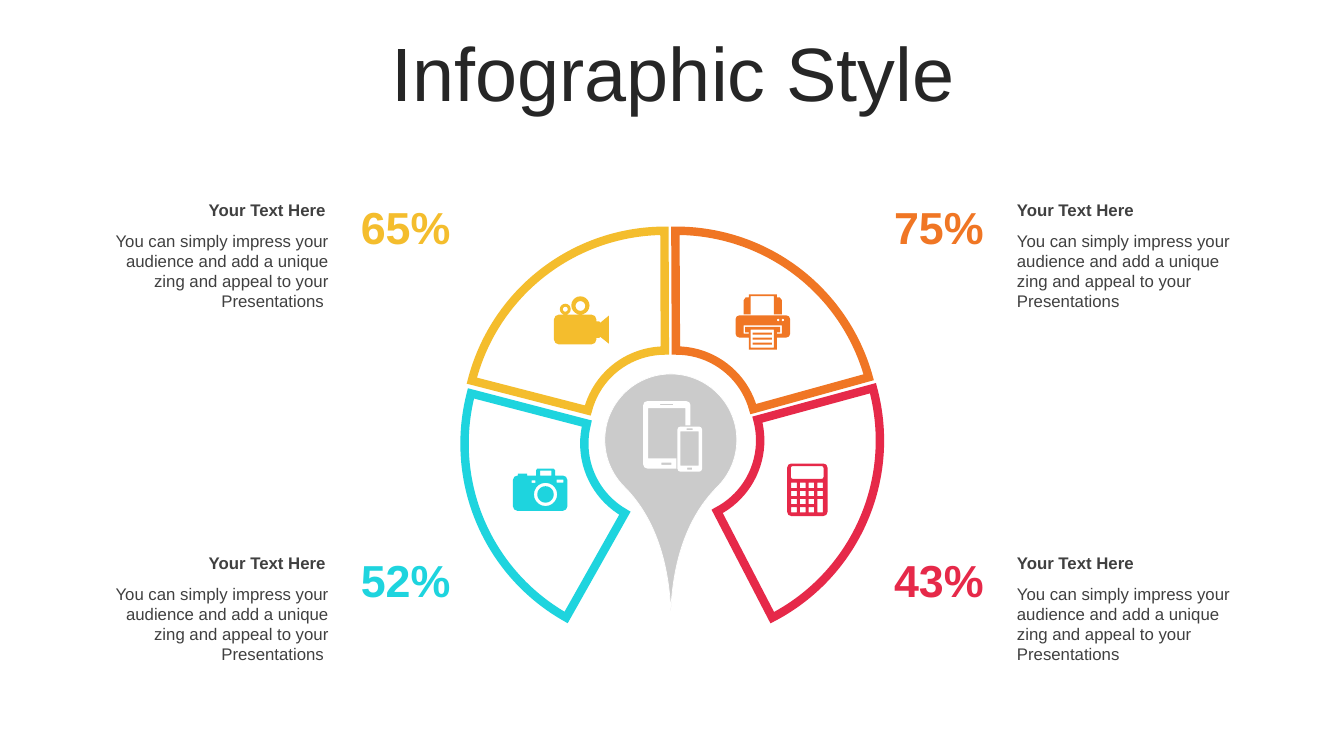
from math import cos, pi, sin

from lxml.etree import SubElement
from pptx import Presentation
from pptx.dml.color import RGBColor
from pptx.enum.shapes import MSO_SHAPE as Preset
from pptx.enum.text import MSO_ANCHOR as Anchor, MSO_AUTO_SIZE as AutoSize, PP_ALIGN as Align
from pptx.oxml import parse_xml
from pptx.oxml.ns import nsdecls, qn
from pptx.util import Pt

COLORS = {
    "yellow": "F4BD2D", "orange": "F07624", "red": "E62949", "cyan": "1ED4DE",
    "pin": "CBCBCB", "white": "FFFFFF", "title": "262626", "text": "404040",
}
BODY = "You can simply impress your audience and add a unique zing and appeal to your Presentations"
FORMATS = {
    "title": {"size": Pt(54), "bold": False},
    "heading": {"size": Pt(12), "bold": True},
    "body": {"size": Pt(12), "bold": False},
    "percent": {"size": Pt(32), "bold": True},
}
STEPS = 3  # points in each rounded corner


def rgb(color):
    return RGBColor.from_string(COLORS[color])


def write(frame, text, style, color, align):
    paragraph = frame.paragraphs[0]
    paragraph.alignment = align
    run = paragraph.add_run()
    run.text = text
    run.font.name = "Arial"
    run.font.color.rgb = rgb(color)
    for attribute, value in FORMATS[style].items():
        setattr(run.font, attribute, value)
    return run


def add_text(shapes, box, *content):
    label = shapes.add_textbox(*map(Pt, box))
    label.text_frame.word_wrap = True
    label.text_frame.auto_size = AutoSize.SHAPE_TO_FIT_TEXT
    return write(label.text_frame, *content)


def add_preset(shapes, preset, box, rotation, adjustments, fill, line, width):
    part = shapes.add_shape(preset, *map(Pt, box))
    part.shadow.inherit = False
    part.rotation = rotation
    for index, value in enumerate(adjustments):
        part.adjustments[index] = value
    part.fill.solid()
    part.fill.fore_color.rgb = rgb(fill)
    part.line.color.rgb = rgb(line)
    part.line.width = Pt(width)
    SubElement(part.line.fill._xPr, qn("a:miter"), lim="800000")


# Outlines for icons: lists of (x, y) in points

def rect(x, y, w, h):
    return [(x, y), (x + w, y), (x + w, y + h), (x, y + h)]


def circle(x, y, r, count=20):
    return [(x + r * cos(2 * pi * k / count), y + r * sin(2 * pi * k / count)) for k in range(count)]


def rounded(x, y, w, h, r, top=(), right=(), bottom=()):
    """Clockwise rounded box from its top left; extra points may extend three edges."""
    points = []
    centers = rect(x + r, y + r, w - 2 * r, h - 2 * r)
    for quarter, ((cx, cy), extra) in enumerate(zip(centers, (top, right, bottom, ()))):
        for step in range(STEPS):
            angle = pi + pi / 2 * (quarter + step / (STEPS - 1))
            points.append((cx + r * cos(angle), cy + r * sin(angle)))
        points.extend(extra)
    return points


def add_icon(shapes, left, top, color, outlines):
    """Draw outlines as one shape, where an inner outline makes a hole."""
    placed = [[(Pt(left + x), Pt(top + y)) for x, y in outline] for outline in outlines]
    builder = shapes.build_freeform(*placed[0][0], scale=1.0)
    for index, outline in enumerate(placed):
        if index:
            builder.move_to(*outline[0])
        builder.add_line_segments(outline[1:], close=True)
    icon = builder.convert_to_shape()
    icon.shadow.inherit = False
    icon.fill.solid()
    icon.fill.fore_color.rgb = rgb(color)
    icon.line.fill.background()


def devices():
    tablet = rounded(0, 0, 33.8, 48.2, 3)
    notch = [(33.8, 17.3), (30.2, 17.3), (30.2, 5), (3.6, 5), (3.6, 41), (23.8, 41), (23.8, 48.2)]
    return [
        tablet[:2 * STEPS] + notch + tablet[3 * STEPS:],
        rect(12.2, 2, 9.2, 0.9), rect(13, 43.9, 7.2, 1.6),
        rounded(24.5, 18.2, 17.6, 32.3, 2.2), rect(26.6, 21.6, 13, 24.5),
        rect(31, 19.6, 4.3, 1.1), rect(31.4, 47.5, 3.6, 1.4),
    ]


def calculator():
    keys = [
        rect(2.9 + 6.2 * column, 13.7 + 5.8 * row, 4, 9.6 if (column, row) == (3, 2) else 3.8)
        for row in range(4) for column in range(4) if (column, row) != (3, 3)
    ]
    return [rounded(0, 0, 28.8, 37.5, 2.9), rounded(2.6, 1.8, 23.4, 9.2, 1.4), *keys]


def printer():
    tray = [(29.5, 30.9), (29.5, 39.6), (9.4, 39.6), (9.4, 30.9)]
    slot = [(5.8, 22.3), (5.8, 28.1), (9.4, 28.1), (9.4, 27.2), (6.8, 27.2), (6.8, 23.3),
            (31.8, 23.3), (31.8, 27.2), (29.5, 27.2), (29.5, 28.1), (33.1, 28.1), (33.1, 22.3)]
    feed = [(9.4, 0), (29.5, 0), (29.5, 2.2), (31.5, 2.2), (33.1, 4.3), (33.1, 14.4), (27.4, 14.4),
            (27.4, 1.4), (10.8, 1.4), (10.8, 14.4), (5.8, 14.4), (5.8, 4.3), (7.2, 2.2), (9.4, 2.2)]
    return [
        rounded(0, 15.1, 38.9, 15.8, 2.6, bottom=tray), slot, feed,
        rect(10.8, 25.2, 16.6, 13), *[rect(12.2, 27.4 + 3.6 * k, 13.7, 1.4) for k in range(3)],
        *[circle(x, 18.4, 0.95, 8) for x in (30.4, 33.8)],
    ]


def camera():
    finder = [(3.6, 5), (3.6, 3.6), (10.1, 3.6), (10.1, 5), (16.6, 5),
              (16.6, 1.2), (17.4, 0), (29, 0), (30.2, 1.2), (30.2, 5)]
    return [
        rounded(0, 5, 38.9, 25.2, 3.2, top=finder), rect(19.4, 1.4, 8, 3.6),
        rect(13.3, 8.4, 2.8, 1.8), rect(31.2, 7.9, 4.8, 2.2),
        circle(23.3, 18.5, 8.3), circle(23.3, 18.5, 5.9),
    ]


def film_camera():
    lens = [(30.3, 18), (32.4, 18), (33.1, 18.9), (39.2, 13.8),
            (39.2, 33.8), (33.1, 28.9), (32.4, 29.6), (30.3, 29.6)]
    return [
        rounded(0, 13.1, 30.3, 21.2, 3.4, right=lens),
        circle(18.9, 6.5, 6.5), circle(18.9, 6.9, 3.5, 16),
        circle(8.1, 9.2, 3.9, 16), circle(8.1, 9.2, 1.8, 12),
    ]


def add_title(slide, box):
    title = slide.shapes.title
    title.left, title.top, title.width, title.height = map(Pt, box)
    title.text_frame.vertical_anchor = Anchor.MIDDLE
    title.text_frame.paragraphs[0].line_spacing = 0.9
    write(title.text_frame, "Infographic Style", "title", "title", Align.CENTER)


def add_ring(shapes, left, top):
    arcs = [(0.7, 0, 0, 116.65, 161.88, "yellow"), (8.6, 0, 75, 116.85, 161.74, "orange"),
            (11.5, 7.2, 153, 115.08, 161.74, "red"), (0, 9.4, 285, 116.65, 161.74, "cyan")]
    ring = shapes.add_group_shape().shapes
    for dx, dy, rotation, start, end, color in arcs:
        add_preset(ring, Preset.BLOCK_ARC, (left + dx, top + dy, 285.1, 285.1), rotation,
                   (start, end, 0.3), "white", color, 6)


def add_pin(shapes, left, top):
    add_preset(shapes, Preset.TEAR, (left, top, 94.3, 94.3), 135, (1.83,), "pin", "white", 0.5)
    add_icon(shapes, left + 27.4, top + 19.4, "white", devices())


def add_caption(shapes, left, top, align):
    caption = shapes.add_group_shape().shapes
    on_left = align == Align.RIGHT
    add_text(caption, (left, top + 22.1, 172.1, 65.5), BODY + " " * on_left, "body", "text", align)
    add_text(caption, (left - 0.7 * on_left, top, 170.6, 21.8), "Your Text Here", "heading", "text", align)


def add_percent(shapes, left, top, text, color):
    run = add_text(shapes, (left, top, 81.4, 46.1), text, "percent", color, Align.CENTER)
    outline = f'<a:ln {nsdecls("a")} w="12700"><a:solidFill><a:srgbClr val="{COLORS["white"]}"/></a:solidFill></a:ln>'
    run.font._element.insert(0, parse_xml(outline))


def add_infographic(slide):
    shapes = slide.shapes
    add_title(slide, (25.2, 26.6, 911.5, 56.9))
    add_ring(shapes, 331.9, 164.9)
    add_pin(shapes, 432, 267.1)
    sides = {"left": (69.8, 249.1, Align.RIGHT), "right": (719.3, 630, Align.LEFT)}
    rows = {"top": 139, "bottom": 391}
    values = [
        ("right", "top", "75%", "orange", printer, 525.5, 210.2),
        ("right", "bottom", "43%", "red", calculator, 562.3, 331.1),
        ("left", "top", "65%", "yellow", film_camera, 395.7, 211.7),
        ("left", "bottom", "52%", "cyan", camera, 366.4, 334.7),
    ]
    for side, row, percent, color, icon, icon_left, icon_top in values:
        caption_left, percent_left, align = sides[side]
        add_caption(shapes, caption_left, rows[row], align)
        add_percent(shapes, percent_left, rows[row], percent, color)
        add_icon(shapes, icon_left, icon_top, color, icon())


def main():
    deck = Presentation()
    deck.slide_width, deck.slide_height = Pt(960), Pt(540)
    title_only = deck.slide_layouts[5]
    add_infographic(deck.slides.add_slide(title_only))
    deck.save("out.pptx")


if __name__ == "__main__":
    main()
